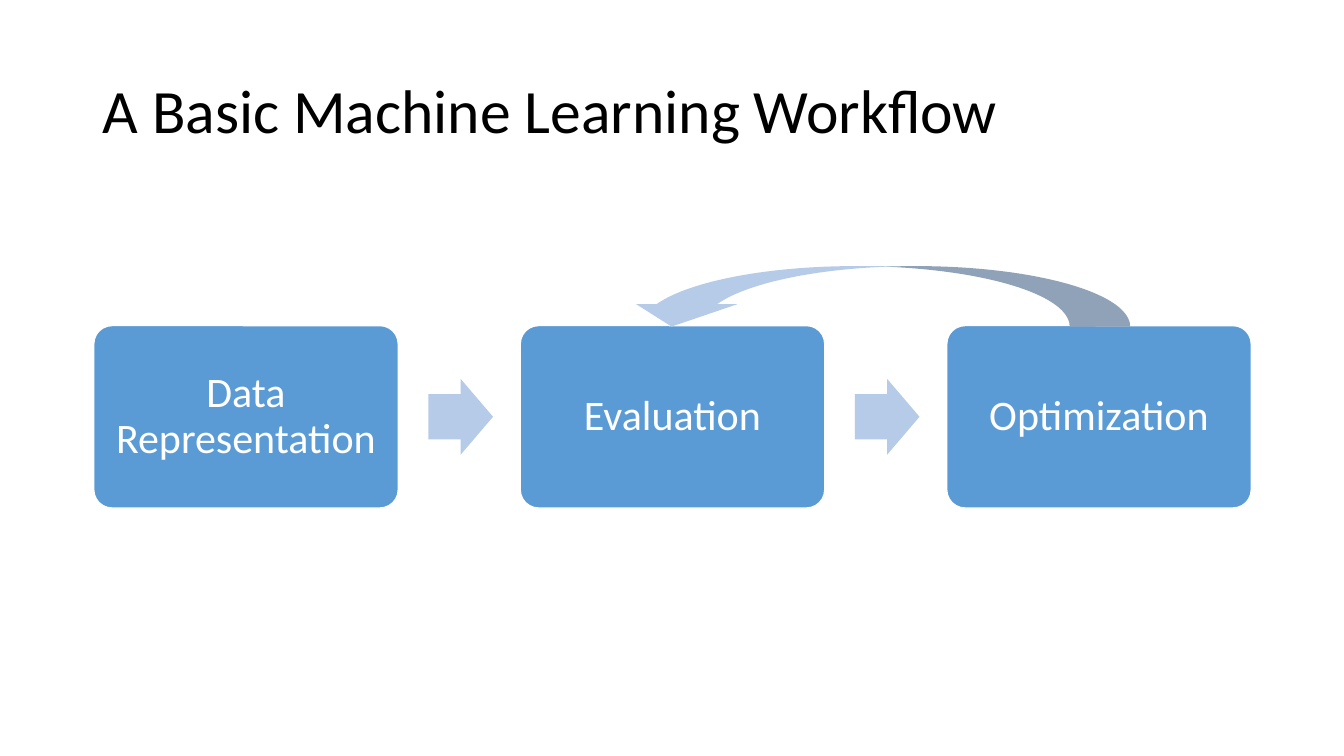
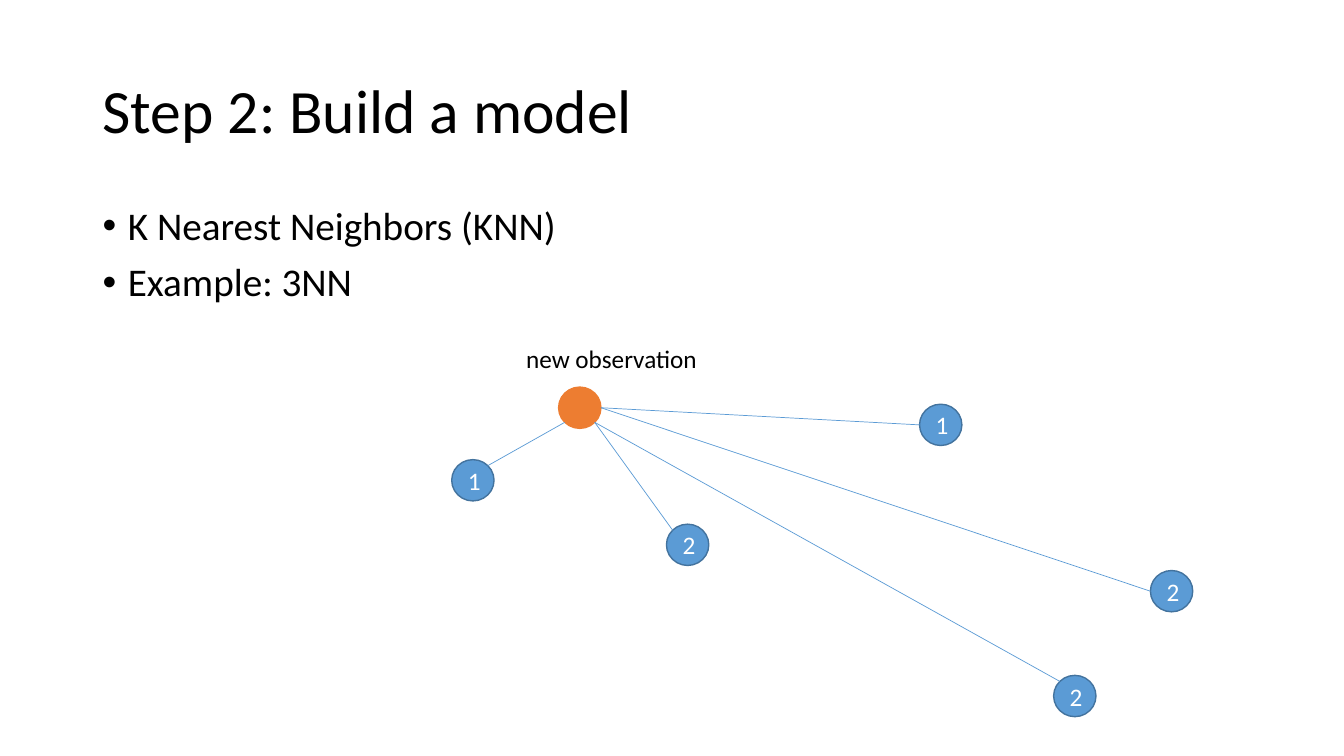
"""Build two slides on a machine learning workflow and nearest neighbours."""
import math
from dataclasses import dataclass

import lxml.etree
import pptx
import pptx.dml.color
import pptx.enum.shapes
import pptx.enum.text
import pptx.oxml.ns
import pptx.util

Inches = pptx.util.Inches
Shapes = pptx.enum.shapes.MSO_SHAPE
Anchor = pptx.enum.text.MSO_ANCHOR
Align = pptx.enum.text.PP_ALIGN

FONT = "Calibri"
BLACK, WHITE = "000000", "FFFFFF"
BLUE, DARK_BLUE, PALE_BLUE, ORANGE = "5B9BD5", "43739E", "B5CBE7", "ED7D31"

STEPS = ("Data Representation", "Evaluation", "Optimization")
STEP_LEFT, STEP_TOP, STEP_PITCH = 0.93, 3.23, 4.23
STEP_WIDTH, STEP_HEIGHT = 3.02, 1.81
ARROW_OFFSET, ARROW_WIDTH, ARROW_HEIGHT = 3.32, 0.64, 0.75
NODE_WIDTH, NODE_HEIGHT = 0.42, 0.41
RIGHT, LOWER_RIGHT, LOWER_LEFT, LEFT, UPPER_LEFT, UPPER_RIGHT = 0, 45, 135, 180, 225, 315


@dataclass(frozen=True)
class Area:
    left: float
    top: float
    width: float
    height: float

    def lengths(self) -> tuple:
        return tuple(Inches(side) for side in (self.left, self.top, self.width, self.height))


@dataclass(frozen=True)
class Node:
    left: float
    top: float
    label: str = ""
    fill: str = BLUE
    line: str = DARK_BLUE

    def rim(self, degrees: float) -> tuple[float, float]:
        angle = math.radians(degrees)
        return (self.left + NODE_WIDTH / 2 * (1 + math.cos(angle)),
                self.top + NODE_HEIGHT / 2 * (1 + math.sin(angle)))


@dataclass(frozen=True)
class Link:
    start_angle: float
    neighbor: Node
    end_angle: float


OBSERVATION = Node(5.54, 3.84, fill=ORANGE, line=ORANGE)
LINKS = (
    Link(LOWER_RIGHT, Node(6.61, 5.2, "2"), UPPER_LEFT),
    Link(LOWER_LEFT, Node(4.48, 4.56, "1"), UPPER_RIGHT),
    Link(RIGHT, Node(9.12, 4.01, "1"), LEFT),
    Link(LOWER_RIGHT, Node(10.45, 6.7, "2"), UPPER_LEFT),
    Link(RIGHT, Node(11.41, 5.66, "2"), LEFT),
)


def color(value: str) -> pptx.dml.color.RGBColor:
    return pptx.dml.color.RGBColor.from_string(value)


def write(shape, text: str, size: float, ink: str, align=Align.LEFT,
          anchor=Anchor.MIDDLE, spacing: float = 1.0, wrap: bool = True) -> None:
    frame = shape.text_frame
    frame.text = text
    frame.word_wrap = wrap
    frame.vertical_anchor = anchor
    for para in frame.paragraphs:
        para.alignment = align
        para.line_spacing = spacing
        for span in para.runs:
            span.font.name = FONT
            span.font.size = pptx.util.Pt(size)
            span.font.color.rgb = color(ink)


def add_box(page, area: Area, text: str, size: float, **style):
    box = page.shapes.add_textbox(*area.lengths())
    write(box, text, size, BLACK, **style)
    return box


def add_figure(page, kind, area: Area, fill: str, line: str = "", adjustments: tuple = ()):
    figure = page.shapes.add_shape(kind, *area.lengths())
    figure.shadow.inherit = False
    figure.fill.solid()
    figure.fill.fore_color.rgb = color(fill)
    if line:
        figure.line.color.rgb = color(line)
        figure.line.width = pptx.util.Pt(1)
    else:
        figure.line.fill.background()
    for index, value in enumerate(adjustments):
        figure.adjustments[index] = value
    return figure


def add_page(deck, title: str):
    page = deck.slides.add_slide(deck.slide_layouts[6])
    add_box(page, Area(0.92, 0.4, 11.5, 1.45), title, 44, spacing=0.9)
    return page


def add_bullets(page, area: Area, lines: tuple[str, ...]) -> None:
    box = add_box(page, area, "\n".join(lines), 28, anchor=Anchor.TOP, spacing=0.9)
    for para in box.text_frame.paragraphs:
        para.space_before = pptx.util.Pt(10)
        properties = para._p.get_or_add_pPr()
        properties.set("marL", str(Inches(0.25)))
        properties.set("indent", str(Inches(-0.25)))
        font = lxml.etree.SubElement(properties, pptx.oxml.ns.qn("a:buFont"))
        font.set("typeface", "Arial")
        bullet = lxml.etree.SubElement(properties, pptx.oxml.ns.qn("a:buChar"))
        bullet.set("char", "•")


def add_step(page, left: float, label: str) -> None:
    area = Area(left, STEP_TOP, STEP_WIDTH, STEP_HEIGHT)
    step = add_figure(page, Shapes.ROUNDED_RECTANGLE, area, BLUE, WHITE, (0.1,))
    write(step, label, 30, WHITE, Align.CENTER, spacing=0.9)
    frame = step.text_frame
    frame.margin_left = frame.margin_right = Inches(0.12)
    frame.margin_top = frame.margin_bottom = Inches(0.12)


def add_node(page, node: Node) -> None:
    area = Area(node.left, node.top, NODE_WIDTH, NODE_HEIGHT)
    circle = add_figure(page, Shapes.OVAL, area, node.fill, node.line)
    if node.label:
        write(circle, node.label, 18, WHITE, Align.CENTER)


def add_link(page, link: Link) -> None:
    ends = OBSERVATION.rim(link.start_angle) + link.neighbor.rim(link.end_angle)
    connector = page.shapes.add_connector(
        pptx.enum.shapes.MSO_CONNECTOR.STRAIGHT, *(Inches(end) for end in ends))
    connector.line.color.rgb = color(BLUE)
    connector.line.width = pptx.util.Pt(0.5)
    lxml.etree.SubElement(connector._element.spPr, pptx.oxml.ns.qn("a:effectLst"))


def build_workflow(deck) -> None:
    page = add_page(deck, "A Basic Machine Learning Workflow")
    arrow_top = STEP_TOP + (STEP_HEIGHT - ARROW_HEIGHT) / 2
    for index, label in enumerate(STEPS):
        left = STEP_LEFT + index * STEP_PITCH
        add_step(page, left, label)
        if index < len(STEPS) - 1:
            area = Area(left + ARROW_OFFSET, arrow_top, ARROW_WIDTH, ARROW_HEIGHT)
            add_figure(page, Shapes.RIGHT_ARROW, area, PALE_BLUE, adjustments=(0.6, 0.5))
    feedback = add_figure(page, Shapes.CURVED_DOWN_ARROW, Area(6.16, 2.64, 5.05, 0.6),
                          PALE_BLUE, adjustments=(1.67, 1.67, 0.37))
    feedback._element.spPr.xfrm.set("flipH", "1")


def build_neighbors(deck) -> None:
    page = add_page(deck, "Step 2: Build a model")
    add_bullets(page, Area(0.92, 2, 11.5, 4.76), ("K Nearest Neighbors (KNN)", "Example: 3NN"))
    add_box(page, Area(5.12, 3.36, 1.92, 0.4), "new observation", 18,
            anchor=Anchor.TOP, wrap=False)
    add_node(page, OBSERVATION)
    for link in LINKS:
        add_node(page, link.neighbor)
        add_link(page, link)


def main() -> None:
    deck = pptx.Presentation()
    deck.slide_width, deck.slide_height = Inches(13.33), Inches(7.5)
    build_workflow(deck)
    build_neighbors(deck)
    deck.save("out.pptx")


if __name__ == "__main__":
    main()
